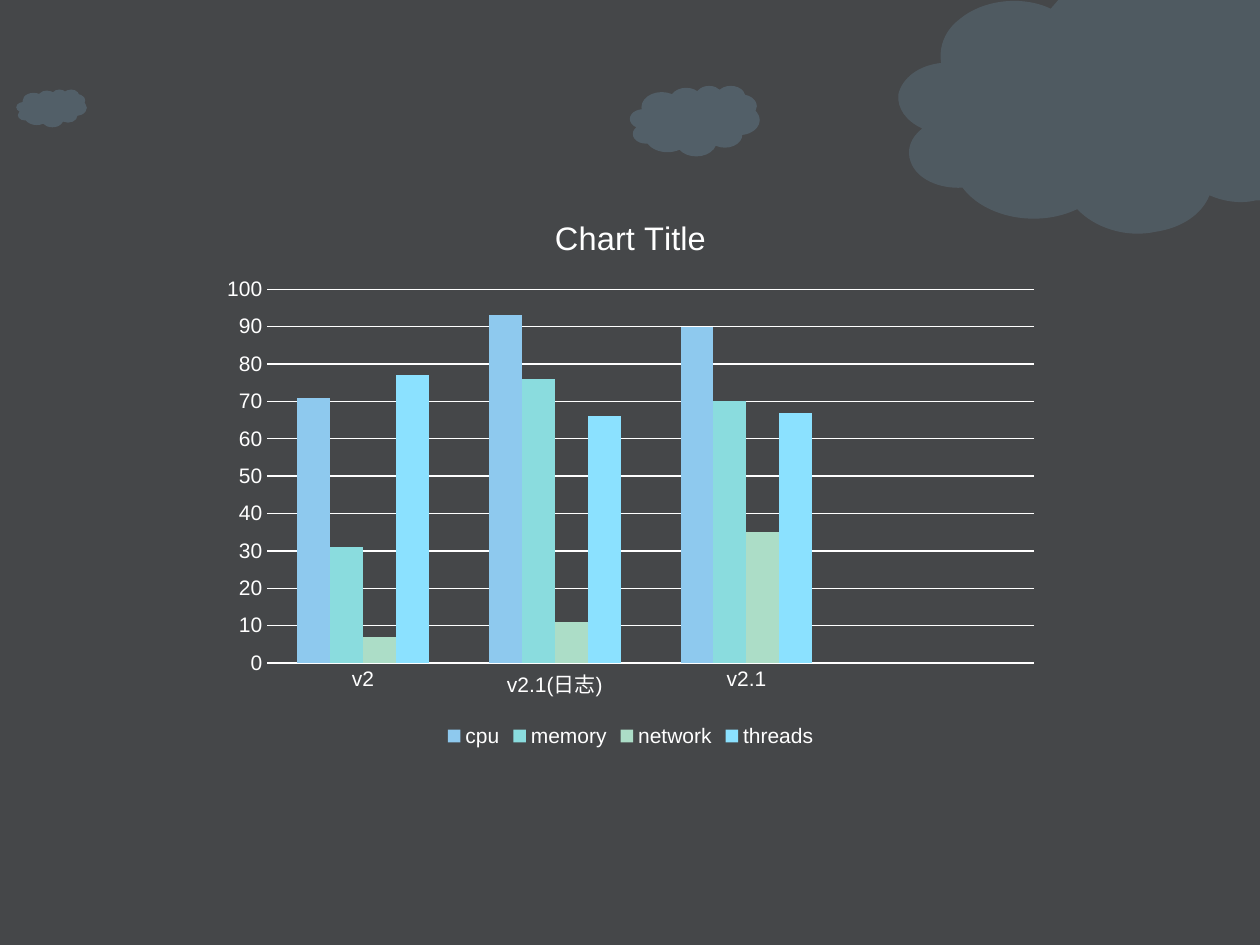
from dataclasses import dataclass
from typing import NamedTuple

from lxml.etree import SubElement
from pptx import Presentation
from pptx.chart.data import CategoryChartData
from pptx.dml.color import RGBColor
from pptx.enum.chart import XL_CHART_TYPE, XL_LEGEND_POSITION, XL_TICK_MARK
from pptx.enum.shapes import MSO_SHAPE
from pptx.oxml.ns import qn
from pptx.util import Inches, Pt


@dataclass(frozen=True)
class Theme:
    back: str = "454749"
    cloud: str = "8EC9EE"
    text: str = "FFFFFF"
    font: str = "Arial"
    title: float = 18.6
    label: float = 12
    line: float = 0.75


class Cloud(NamedTuple):
    left: float
    top: float
    width: float
    height: float


class Series(NamedTuple):
    name: str
    color: str
    values: tuple


THEME = Theme()
CLOUDS = [Cloud(5, 0.68, 1.03, 0.56), Cloud(0.13, 0.71, 0.56, 0.3)]

# The fourth category is left empty
CATS = ["v2", "v2.1(日志)", "v2.1", ""]
SERIES = [
    Series("cpu", "8EC9EE", (71, 93, 90, None)),
    Series("memory", "8ADCDE", (31, 76, 70, None)),
    Series("network", "ACDDC7", (7, 11, 35, None)),
    Series("threads", "8BE1FF", (77, 66, 67, None)),
]

# Corner cloud: straight edges along the slide, then Bezier lobes
EDGE = [(8.4, 0), (10, 0), (10, 1.59), (9.97, 1.59)]
LOBES = [
    ((9.85, 1.62), (9.71, 1.6), (9.6, 1.55)),
    ((9.54, 1.7), (9.38, 1.81), (9.17, 1.84)),
    ((8.94, 1.89), (8.69, 1.81), (8.55, 1.66)),
    ((8.24, 1.81), (7.82, 1.73), (7.64, 1.49)),
    ((7.45, 1.5), (7.28, 1.42), (7.23, 1.29)),
    ((7.19, 1.19), (7.23, 1.09), (7.32, 1.02)),
    ((7.19, 0.96), (7.12, 0.86), (7.13, 0.75)),
    ((7.16, 0.62), (7.29, 0.52), (7.47, 0.5)),
    ((7.45, 0.37), (7.5, 0.24), (7.62, 0.15)),
    ((7.8, 0), (8.11, -0.04), (8.34, 0.07)),
]


def rgb(color: str) -> RGBColor:
    return RGBColor.from_string(color)


def tint(shape, alpha: int) -> None:
    """Give a cloud its see-through fill."""
    shape.shadow.inherit = False
    shape.line.fill.background()
    shape.fill.solid()
    shape.fill.fore_color.rgb = rgb(THEME.cloud)
    color = shape.fill._xPr.find(qn("a:solidFill"))[0]
    SubElement(color, qn("a:alpha")).set("val", str(alpha * 1000))


def bend(shape, lobes: list, first: int) -> None:
    """Turn the straight segments from first on into Bezier curves."""
    lines = list(shape._element.iter(qn("a:lnTo")))[first:]
    for line, lobe in zip(lines, lobes):
        line.tag = qn("a:cubicBezTo")
        line.clear()
        for x, y in lobe:
            point = SubElement(line, qn("a:pt"))
            point.set("x", str(Inches(x) - shape.left))
            point.set("y", str(Inches(y) - shape.top))


def draw_corner(slide) -> None:
    ends = EDGE + [lobe[-1] for lobe in LOBES]
    spots = [(Inches(x), Inches(y)) for x, y in ends]
    pen = slide.shapes.build_freeform(*spots[0])
    pen.add_line_segments(spots[1:], close=True)
    shape = pen.convert_to_shape()
    bend(shape, LOBES, len(EDGE) - 1)
    tint(shape, 15)


def draw_cloud(slide, cloud: Cloud) -> None:
    box = [Inches(size) for size in cloud]
    tint(slide.shapes.add_shape(MSO_SHAPE.CLOUD, *box), 19)


def style(font, size: float) -> None:
    font.name = THEME.font
    font.size = Pt(size)
    font.bold = False
    font.color.rgb = rgb(THEME.text)


def rule(line) -> None:
    line.color.rgb = rgb(THEME.text)
    line.width = Pt(THEME.line)


def draw_chart(slide) -> None:
    data = CategoryChartData()
    data.categories = CATS
    for item in SERIES:
        data.add_series(item.name, item.values)
    chart = slide.shapes.add_chart(
        XL_CHART_TYPE.COLUMN_CLUSTERED,
        Inches(1.67), Inches(1.53), Inches(6.67), Inches(4.44), data,
    ).chart
    style(chart.font, THEME.label)

    # Title and legend
    chart.has_title = True
    frame = chart.chart_title.text_frame
    frame.text = "Chart Title"
    style(frame.paragraphs[0].runs[0].font, THEME.title)
    chart.chart_title.include_in_layout = False
    chart.has_legend = True
    chart.legend.position = XL_LEGEND_POSITION.BOTTOM
    chart.legend.include_in_layout = False
    style(chart.legend.font, THEME.label)

    # Axes
    for axis in (chart.category_axis, chart.value_axis):
        axis.major_tick_mark = axis.minor_tick_mark = XL_TICK_MARK.NONE
        style(axis.tick_labels.font, THEME.label)
    rule(chart.category_axis.format.line)
    scale = chart.value_axis
    scale.minimum_scale, scale.maximum_scale, scale.major_unit = 0, 100, 10
    scale.format.line.fill.background()
    rule(scale.major_gridlines.format.line)

    # Columns
    plot = chart.plots[0]
    plot.gap_width = 182
    plot.overlap = 0
    plot.vary_by_categories = False
    for bar, item in zip(plot.series, SERIES):
        bar.format.fill.solid()
        bar.format.fill.fore_color.rgb = rgb(item.color)


def main() -> None:
    deck = Presentation()
    deck.slide_width, deck.slide_height = Inches(10), Inches(7.5)
    slide = deck.slides.add_slide(deck.slide_layouts[6])
    slide.background.fill.solid()
    slide.background.fill.fore_color.rgb = rgb(THEME.back)
    draw_corner(slide)
    for cloud in CLOUDS:
        draw_cloud(slide, cloud)
    draw_chart(slide)
    deck.save("out.pptx")


if __name__ == "__main__":
    main()
